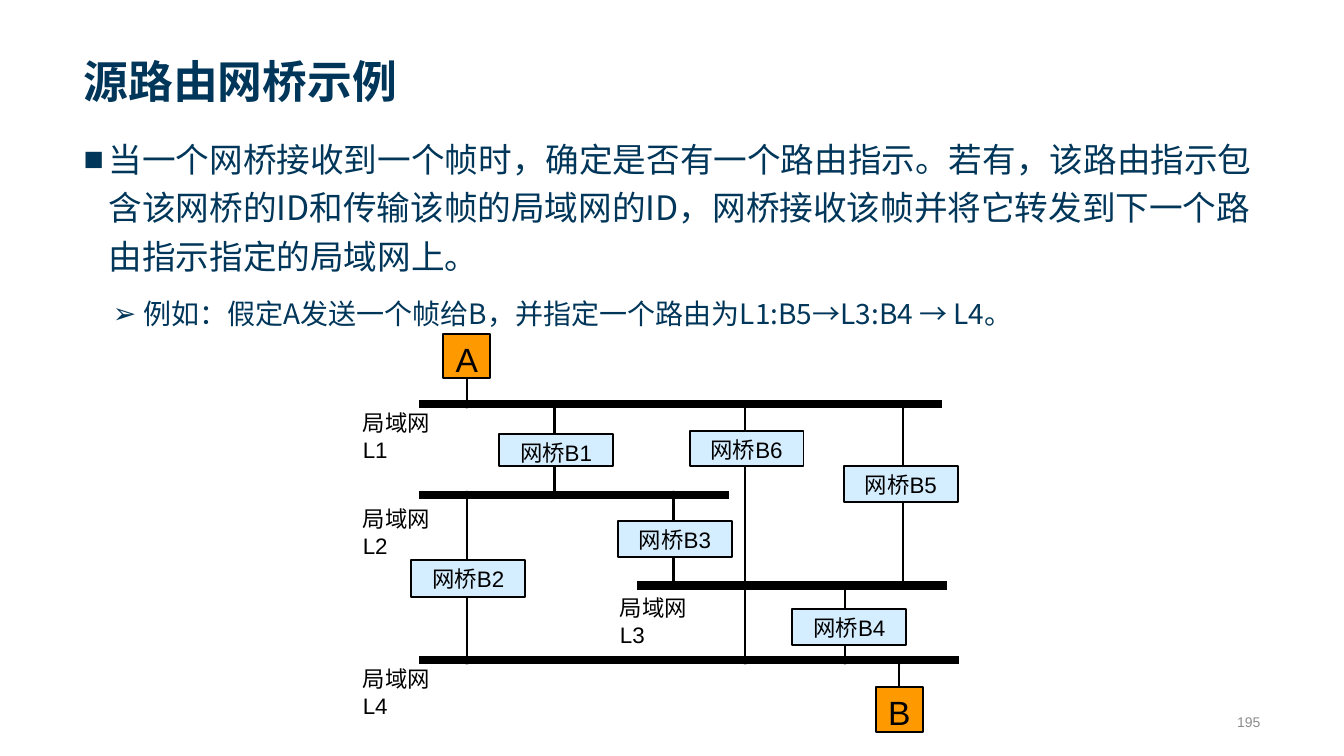
import pptx
import pptx.dml.color
import pptx.enum.shapes
import pptx.enum.text
import pptx.oxml.ns
import pptx.util
from lxml import etree

TITLE = "源路由网桥示例"
# text, size role, bullet, left margin, hanging indent
BODY = [
    ("当一个网桥接收到一个帧时，确定是否有一个路由指示。若有，该路由指示包含该网桥的ID和"
     "传输该帧的局域网的ID，网桥接收该帧并将它转发到下一个路由指示指定的局域网上。",
     "body", "■", 0.25, 0.25),
    ("例如：假定A发送一个帧给B，并指定一个路由为L1:B5→L3:B4 → L4。",
     "example", "➢", 0.59, 0.3),
]
PAGE_NUMBER = "195"
# name: (bus y, bus left, bus right, label left, label top)
LANS = {
    "L1": (4.01, 4.16, 9.34, 3.5, 4.01),
    "L2": (4.91, 4.16, 7.23, 3.5, 4.96),
    "L3": (5.81, 6.32, 9.39, 6.05, 5.85),
    "L4": (6.55, 4.16, 9.51, 3.5, 6.55),
}
# name, upper LAN, lower LAN, link x, box left, box top, box height
BRIDGES = [
    ("B1", "L1", "L2", 5.5, 4.95, 4.31, 0.31),
    ("B2", "L2", "L4", 4.63, 4.08, 5.56, 0.36),
    ("B3", "L2", "L3", 6.68, 6.13, 5.17, 0.36),
    ("B4", "L3", "L4", 8.38, 7.86, 6.04, 0.36),
    ("B5", "L1", "L3", 8.96, 8.37, 4.62, 0.36),
    ("B6", "L1", "L4", 7.39, 6.84, 4.28, 0.34),
]
# name, LAN, link x, box top, connection site of the box
STATIONS = [("A", "L1", 4.63, 3.31, 2), ("B", "L4", 8.92, 6.82, 0)]
BRIDGE_WIDTH = 1.13
STATION_SIZE = (0.47, 0.44)
MARGIN, CONTENT_WIDTH = 0.73, 11.88


class Theme:
    navy, black, grey = "003659", "000000", "8C8C8C"
    station, bridge = "FF9900", "D5EEFF"
    cjk, latin = "Noto Sans CJK SC", "Arial"
    sizes = {"title": 32, "body": 24, "example": 20, "station": 24, "label": 16, "page": 10}
    link_width, outline_width, bus_width = 1.5, 1.38, 6


ALIGN = pptx.enum.text.PP_ALIGN
ANCHOR = pptx.enum.text.MSO_ANCHOR
inches = pptx.util.Inches


def rgb(value):
    return pptx.dml.color.RGBColor.from_string(value)


def add_element(parent, tag, **attributes):
    return etree.SubElement(parent, pptx.oxml.ns.qn(tag), attributes)


def write(paragraph, text, role="label", color=Theme.black, latin=Theme.latin,
          bold=False, align=ALIGN.LEFT):
    paragraph.alignment = align
    run = paragraph.add_run()
    run.text = text
    run.font.size = pptx.util.Pt(Theme.sizes[role])
    run.font.bold = bold
    run.font.color.rgb = rgb(color)
    run.font.name = latin
    add_element(run.font._element, "a:ea", typeface=Theme.cjk)


def add_frame(slide, left, top, width, height, anchor=ANCHOR.TOP):
    box = slide.shapes.add_textbox(*map(inches, (left, top, width, height)))
    box.text_frame.word_wrap = True
    box.text_frame.vertical_anchor = anchor
    return box.text_frame


def set_bullet(paragraph, bullet, margin, hanging):
    properties = paragraph._p.get_or_add_pPr()
    properties.set("marL", str(inches(margin)))
    properties.set("indent", str(-inches(hanging)))
    add_element(properties, "a:buFont", typeface=Theme.latin)
    add_element(properties, "a:buChar", char=bullet)


def add_line(slide, start, end, width, dots=()):
    """Draw a straight line; dots lists the ends that get a round dot."""
    line = slide.shapes.add_connector(pptx.enum.shapes.MSO_CONNECTOR.STRAIGHT,
                                      *map(inches, (*start, *end)))
    line.line.color.rgb = rgb(Theme.black)
    line.line.width = pptx.util.Pt(width)
    for end_tag in dots:
        add_element(line.line._get_or_add_ln(), end_tag, type="oval")
    add_element(line._element.spPr, "a:effectLst")
    return line


def add_node(slide, text, left, top, width, height, fill, role):
    node = slide.shapes.add_shape(pptx.enum.shapes.MSO_SHAPE.RECTANGLE,
                                  *map(inches, (left, top, width, height)))
    node.shadow.inherit = False
    node.fill.solid()
    node.fill.fore_color.rgb = rgb(fill)
    node.line.color.rgb = rgb(Theme.black)
    node.line.width = pptx.util.Pt(Theme.outline_width)
    node.text_frame.vertical_anchor = ANCHOR.TOP
    write(node.text_frame.paragraphs[0], text, role=role, align=ALIGN.CENTER)
    return node


def add_texts(slide):
    title = add_frame(slide, MARGIN, 0, CONTENT_WIDTH, 1.12, ANCHOR.BOTTOM)
    write(title.paragraphs[0], TITLE, role="title", color=Theme.navy,
          latin=Theme.cjk, bold=True)
    body = add_frame(slide, MARGIN, 1.25, CONTENT_WIDTH, 2.76)
    for index, (text, role, bullet, margin, hanging) in enumerate(BODY):
        paragraph = body.add_paragraph() if index else body.paragraphs[0]
        paragraph.line_spacing = 1.2
        if index:
            paragraph.space_before = pptx.util.Pt(10)
        set_bullet(paragraph, bullet, margin, hanging)
        write(paragraph, text, role=role, color=Theme.navy, latin=Theme.cjk)
    page = add_frame(slide, 8.5, 7.01, 4.1, 0.3, ANCHOR.MIDDLE)
    write(page.paragraphs[0], PAGE_NUMBER, role="page", color=Theme.grey, align=ALIGN.RIGHT)


def add_network(slide):
    for _, upper, lower, x, *_ in BRIDGES:
        add_line(slide, (x, LANS[upper][0]), (x, LANS[lower][0]), Theme.link_width,
                 dots=("a:headEnd", "a:tailEnd"))
    for name, (y, left, right, label_left, label_top) in LANS.items():
        label = add_frame(slide, label_left, label_top, 1.11, 0.37)
        label.margin_right = inches(0.2)
        write(label.paragraphs[0], "局域网" + name)
        add_line(slide, (left, y), (right, y), Theme.bus_width)
    for name, lan, x, top, site in STATIONS:
        width, height = STATION_SIZE
        station = add_node(slide, name, x - width / 2, top, width, height,
                           Theme.station, "station")
        edge = top + height if site == 2 else top
        link = add_line(slide, (x, edge), (x, LANS[lan][0]), Theme.link_width,
                        dots=("a:tailEnd",))
        link.begin_connect(station, site)
    for name, _, _, _, left, top, height in BRIDGES:
        add_node(slide, "网桥" + name, left, top, BRIDGE_WIDTH, height,
                 Theme.bridge, "label")


def main():
    deck = pptx.Presentation()
    deck.slide_width, deck.slide_height = inches(13.33), inches(7.5)
    slide = deck.slides.add_slide(deck.slide_layouts[6])
    add_texts(slide)
    add_network(slide)
    deck.save("out.pptx")


if __name__ == "__main__":
    main()
